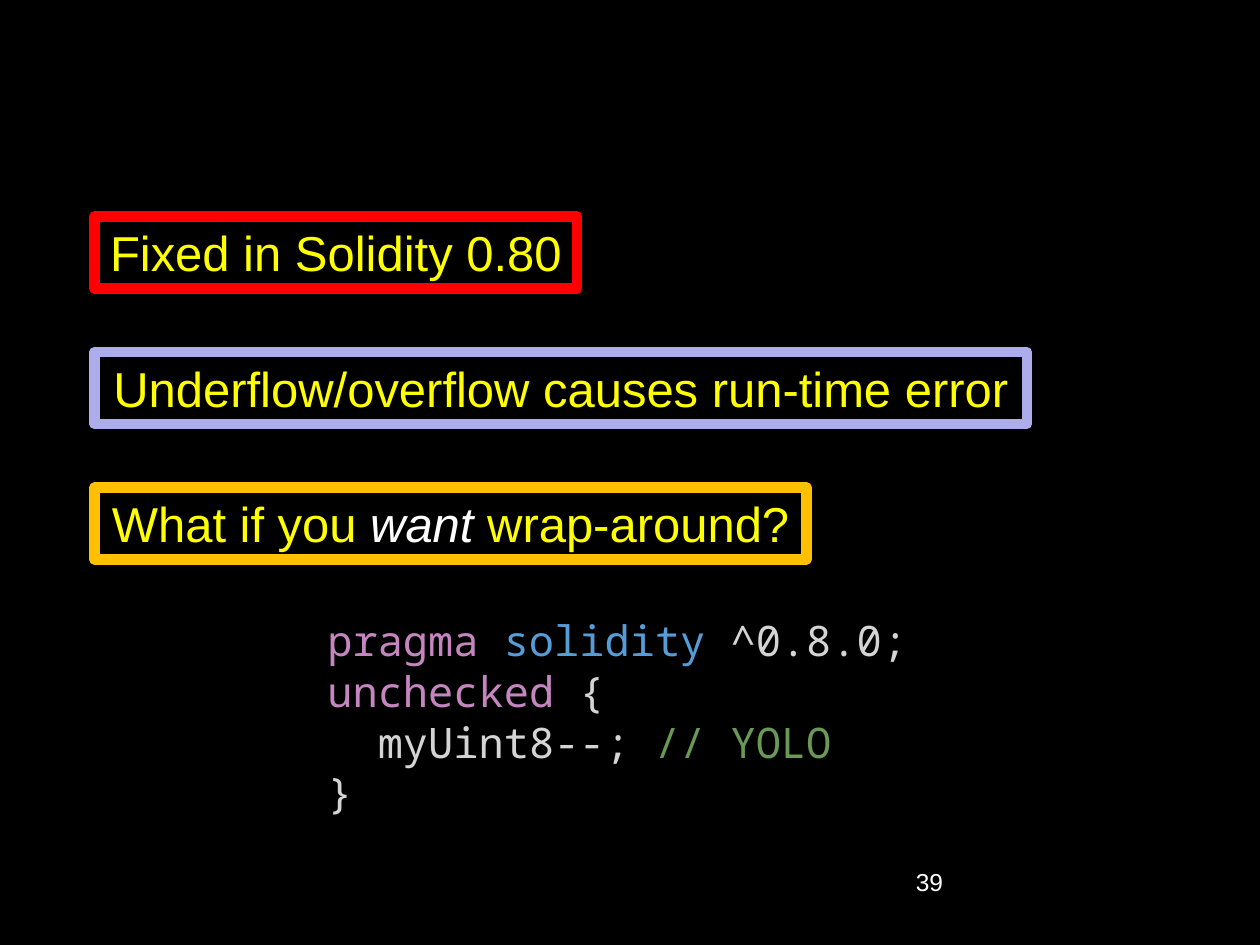
from pptx import Presentation
from pptx.dml.color import RGBColor
from pptx.enum.shapes import MSO_SHAPE
from pptx.enum.text import MSO_ANCHOR, MSO_AUTO_SIZE, PP_ALIGN
from pptx.util import Inches, Pt

COLORS = {
    "black": "000000", "white": "FFFFFF", "yellow": "FFFF00",
    "red": "FF0000", "lavender": "ADADEB", "amber": "FFC000",
    "keyword": "C586C0", "name": "569CD6", "plain": "D4D4D4", "comment": "6A9955",
}
CALLOUTS = [
    ("red", 3.83, [("Fixed in Solidity 0.80", "yellow")]),
    ("lavender", 7.4, [("Underflow/overflow causes run-time error", "yellow")]),
    ("amber", 5.65, [("What if you ", "yellow"), ("want", "white"),
                     (" wrap-around?", "yellow")]),
]
CODE = [
    [("pragma ", "keyword"), ("solidity", "name"), (" ^0.8.0;", "plain")],
    [("unchecked", "keyword"), (" {", "plain")],
    [("  myUint8--; ", "plain"), ("// YOLO", "comment")],
    [("}", "plain")],
]
PAGE_NUMBER = [("39", "white")]
EMPHASIS = "want"
LEFT, TOP, ROW_STEP, ROW_HEIGHT = 0.75, 1.72, 1.075, 0.57


def color(name):
    return RGBColor.from_string(COLORS[name])


def write_spans(para, spans, font_name, size):
    for text, color_name in spans:
        span = para.add_run()
        span.text = text
        span.font.name = font_name
        span.font.size = Pt(size)
        span.font.color.rgb = color(color_name)
        span.font.italic = text == EMPHASIS


def add_panel(page, left, top, width, height, border=None):
    panel = page.shapes.add_shape(MSO_SHAPE.RECTANGLE, Inches(left), Inches(top),
                                  Inches(width), Inches(height))
    panel.shadow.inherit = False
    panel.fill.solid()
    panel.fill.fore_color.rgb = color("black")
    if border:
        panel.line.color.rgb = color(border)
        panel.line.width = Pt(6)
    else:
        panel.line.fill.background()
    return panel


deck = Presentation()
deck.slide_width, deck.slide_height = Inches(10), Inches(7.5)
page = deck.slides.add_slide(deck.slide_layouts[6])
page.background.fill.solid()
page.background.fill.fore_color.rgb = color("black")

number_box = page.shapes.add_textbox(Inches(7.17), Inches(6.83), Inches(2.08), Inches(0.5))
number_box.text_frame.word_wrap = True
write_spans(number_box.text_frame.paragraphs[0], PAGE_NUMBER, "Arial", 14)

for row, (border, width, spans) in enumerate(CALLOUTS):
    panel = add_panel(page, LEFT, TOP + row * ROW_STEP, width, ROW_HEIGHT, border)
    frame = panel.text_frame
    frame.word_wrap = False
    frame.auto_size = MSO_AUTO_SIZE.SHAPE_TO_FIT_TEXT
    frame.vertical_anchor = MSO_ANCHOR.TOP
    frame.paragraphs[0].alignment = PP_ALIGN.CENTER
    write_spans(frame.paragraphs[0], spans, "Arial", 28)

code_frame = add_panel(page, 2.5, 4.82, 5, 1.72).text_frame
code_frame.word_wrap = True
code_frame.vertical_anchor = MSO_ANCHOR.MIDDLE
for index, spans in enumerate(CODE):
    para = code_frame.add_paragraph() if index else code_frame.paragraphs[0]
    para.alignment = PP_ALIGN.LEFT
    para.line_spacing = Pt(29)
    write_spans(para, spans, "Noto Sans Mono", 24)

deck.save("out.pptx")
